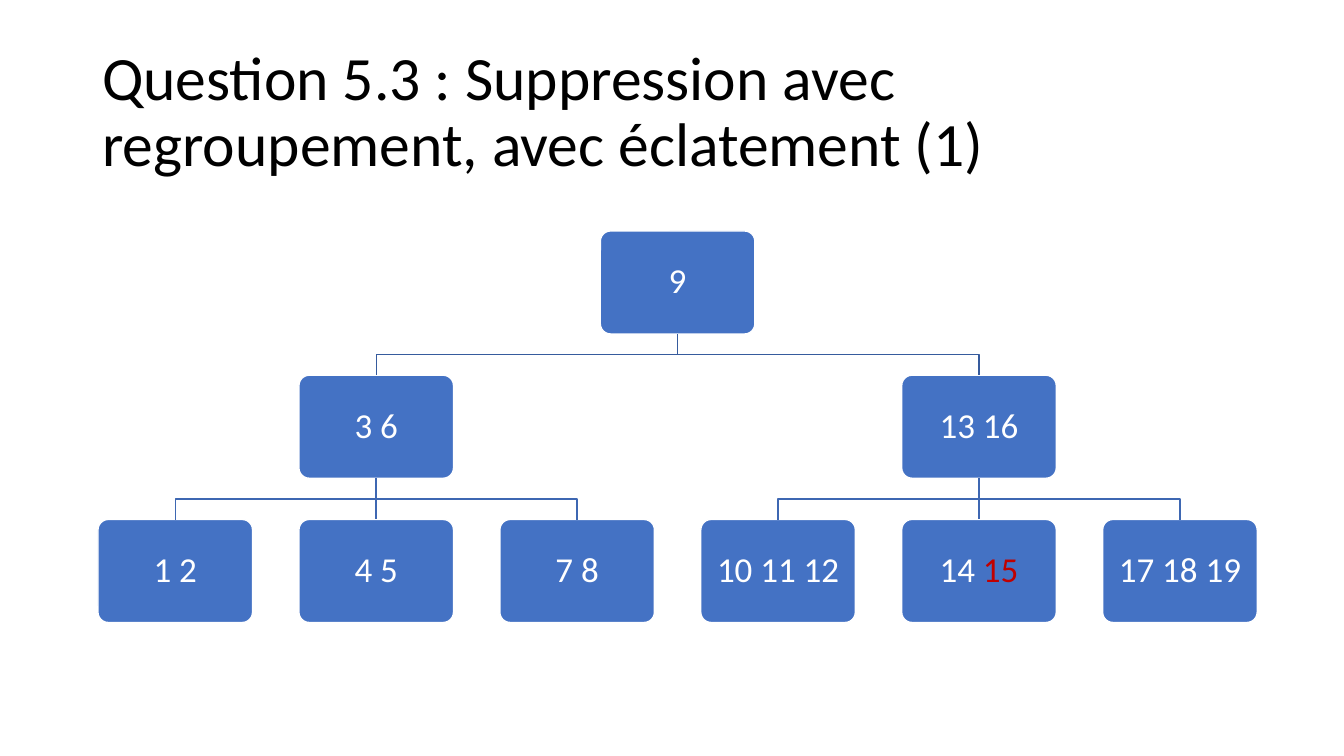
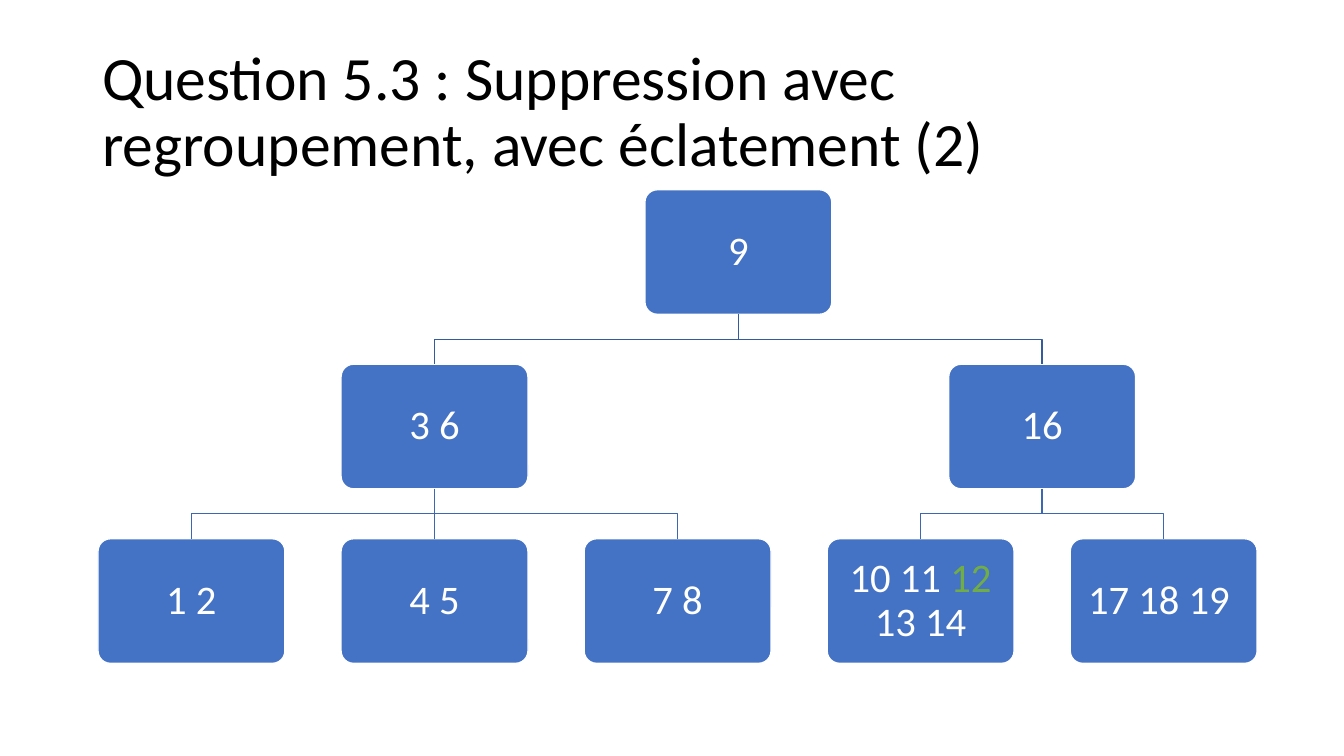
import dataclasses
import itertools

import pptx
import pptx.dml.color
import pptx.enum.shapes
import pptx.enum.text
import pptx.oxml.xmlchemy
import pptx.util

EMU_PER_PX = 6350
SLIDE_SIZE = (1920, 1080)
TITLE_BOX = (132, 58, 1656, 209)


@dataclasses.dataclass(frozen=True)
class Theme:
    """Colours, font and type sizes shared by the slides."""
    font: str = "Calibri"
    title_size: int = 44
    title: str = "000000"
    node: str = "4472C4"
    outline: str = "FFFFFF"
    text: str = "FFFFFF"
    removed: str = "C00000"
    moved: str = "70AD47"
    links: tuple = ("365B9D", "3E67B2")
    line_width: int = 1
    line_spacing: float = 0.9
    corner: float = 0.1


THEME = Theme()


@dataclasses.dataclass(frozen=True)
class Node:
    """Keys of one tree node as (text, colour) spans, with its children."""
    spans: tuple
    children: tuple = ()


@dataclasses.dataclass(frozen=True)
class Grid:
    """Node sizes and gaps worked out from the tree's box and leaf count."""
    left: int
    top: int
    width: int
    leaves: int
    inset: int
    text_size: int

    @property
    def node_width(self):
        """Width of a node when gaps are 0.3 of it."""
        return self.width / (1.3 * self.leaves - 0.3)

    @property
    def node_height(self):
        """Height of a node, two thirds of its width."""
        return self.node_width * 2 / 3

    def leaf_centre(self, slot):
        """Horizontal centre of the leaf in a slot."""
        return self.left + self.node_width * (0.5 + 1.3 * slot)

    def level_top(self, depth):
        """Top of a level, with gaps of 0.4 of the node height."""
        return self.top + self.node_height * 1.4 * depth


def node(text, *children, colour=THEME.text):
    """Make a node whose keys share one colour."""
    return Node(((text, colour),), children)


def emu(*lengths):
    """Turn px lengths into EMU."""
    return [pptx.util.Emu(round(length * EMU_PER_PX)) for length in lengths]


def rgb(colour):
    """Turn a hex string into a colour."""
    return pptx.dml.color.RGBColor.from_string(colour)


def apply_format(target, values):
    """Set each attribute of the target from a dict."""
    for name, value in values.items():
        setattr(target, name, value)


def write_text(shape, spans, size, align, insets):
    """Write coloured spans as one vertically centred paragraph."""
    frame = shape.text_frame
    names = ("margin_left", "margin_top", "margin_right", "margin_bottom")
    apply_format(frame, {
        "word_wrap": True,
        "vertical_anchor": pptx.enum.text.MSO_ANCHOR.MIDDLE,
        **dict(zip(names, emu(*insets))),
    })
    para = frame.paragraphs[0]
    apply_format(para, {"alignment": align, "line_spacing": THEME.line_spacing})
    for text, colour in spans:
        span = para.add_run()
        span.text = text
        apply_format(span.font, {"name": THEME.font, "size": pptx.util.Pt(size)})
        span.font.color.rgb = rgb(colour)


def draw_line(shape, colour):
    """Give a shape or connector its line."""
    shape.line.color.rgb = rgb(colour)
    shape.line.width = pptx.util.Pt(THEME.line_width)


def add_title(slide, box, text):
    """Place the slide title in its box."""
    shape = slide.shapes.add_textbox(*emu(*box))
    write_text(shape, [(text, THEME.title)], THEME.title_size,
               pptx.enum.text.PP_ALIGN.LEFT, (14, 7, 14, 7))


def add_node(slide, grid, spans, centre, depth):
    """Place one rounded node around its horizontal centre."""
    shape = slide.shapes.add_shape(
        pptx.enum.shapes.MSO_SHAPE.ROUNDED_RECTANGLE,
        *emu(centre - grid.node_width / 2, grid.level_top(depth),
             grid.node_width, grid.node_height))
    shape.adjustments[0] = THEME.corner
    shape.shadow.inherit = False
    shape.fill.solid()
    shape.fill.fore_color.rgb = rgb(THEME.node)
    draw_line(shape, THEME.outline)
    write_text(shape, spans, grid.text_size,
               pptx.enum.text.PP_ALIGN.CENTER, (grid.inset,) * 4)
    return shape


def add_link(slide, parent, child, colour):
    """Link a parent to a child, straight when the child is right below."""
    start_x = parent.left + parent.width // 2
    end_x = child.left + child.width // 2
    start_y, end_y = parent.top + parent.height, child.top
    if abs(start_x - end_x) < EMU_PER_PX:
        link = slide.shapes.add_connector(
            pptx.enum.shapes.MSO_CONNECTOR.STRAIGHT, start_x, start_y, end_x, end_y)
        link.begin_connect(parent, 2)
        link.end_connect(child, 0)
        draw_line(link, colour)
        link._element.spPr.append(pptx.oxml.xmlchemy.OxmlElement("a:effectLst"))
        return
    middle = (start_y + end_y) // 2
    builder = slide.shapes.build_freeform(start_x, start_y)
    builder.add_line_segments(
        [(start_x, middle), (end_x, middle), (end_x, end_y)], close=False)
    link = builder.convert_to_shape()
    link.fill.background()
    link.shadow.inherit = False
    draw_line(link, colour)


def add_branch(slide, grid, branch, slots, depth=0):
    """Place a branch, its parent centred over the children."""
    placed = [add_branch(slide, grid, child, slots, depth + 1)
              for child in branch.children]
    if placed:
        centre = (placed[0][1] + placed[-1][1]) / 2
    else:
        centre = grid.leaf_centre(next(slots))
    shape = add_node(slide, grid, branch.spans, centre, depth)
    for child, _ in placed:
        add_link(slide, shape, child, THEME.links[depth])
    return shape, centre


def add_tree_slide(deck, title, grid, root):
    """Add a slide with a title and a tree."""
    slide = deck.slides.add_slide(deck.slide_layouts[6])
    add_title(slide, TITLE_BOX, title)
    add_branch(slide, grid, root, itertools.count())


LEFT_BRANCH = node("3 6", node("1 2"), node("4 5"), node("7 8"))
LAST_LEAF = node("17 18 19 ")

TREES = [
    (Grid(left=140, top=330, width=1656, leaves=6, inset=14, text_size=25),
     node("9", LEFT_BRANCH,
          node("13 16", node("10 11 12"),
               Node((("14 ", THEME.text), ("15", THEME.removed))), LAST_LEAF))),
    (Grid(left=140, top=271, width=1656, leaves=5, inset=17, text_size=29),
     node("9", LEFT_BRANCH,
          node("16", Node((("10 11 ", THEME.text), ("12", THEME.moved),
                           (" 13 14", THEME.text))), LAST_LEAF))),
]


def main():
    """Build the deck and save it."""
    deck = pptx.Presentation()
    deck.slide_width, deck.slide_height = emu(*SLIDE_SIZE)
    for number, (grid, root) in enumerate(TREES, 1):
        title = f"Question 5.3 : Suppression avec regroupement, avec éclatement ({number})"
        add_tree_slide(deck, title, grid, root)
    deck.save("out.pptx")


if __name__ == "__main__":
    main()
